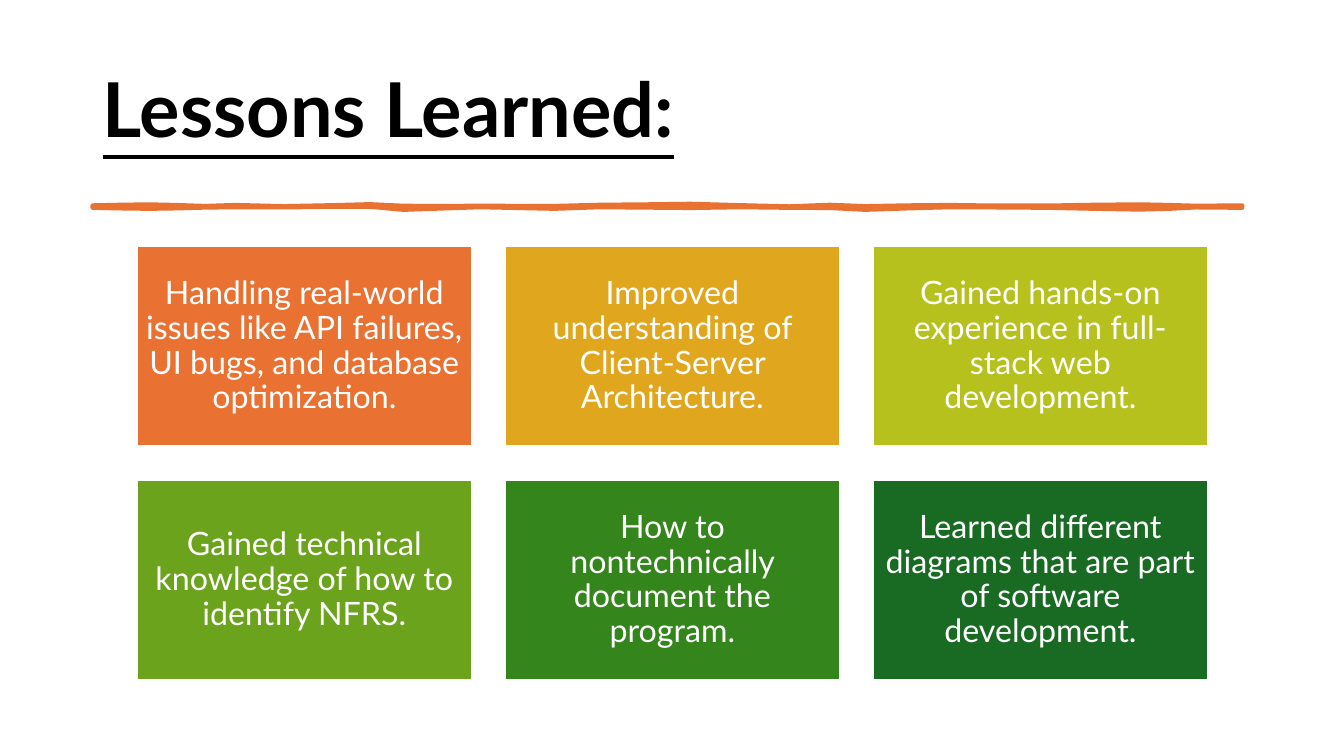
from pptx import Presentation
from pptx.dml.color import RGBColor
from pptx.enum.shapes import MSO_SHAPE
from pptx.enum.text import MSO_ANCHOR, PP_ALIGN
from pptx.util import Pt

PX = 9144  # 100 px to the inch
RECTANGLE = MSO_SHAPE.RECTANGLE
MIDDLE = MSO_ANCHOR.MIDDLE
LEFT, CENTER = PP_ALIGN.LEFT, PP_ALIGN.CENTER

BLACK = RGBColor(0x00, 0x00, 0x00)
WHITE = RGBColor(0xFF, 0xFF, 0xFF)
ORANGE = RGBColor(0xE9, 0x71, 0x32)
AMBER = RGBColor(0xE0, 0xA6, 0x1D)
LIME = RGBColor(0xB7, 0xC1, 0x1E)
LEAF = RGBColor(0x6B, 0xA3, 0x1D)
GREEN = RGBColor(0x34, 0x86, 0x1C)
FOREST = RGBColor(0x19, 0x6B, 0x24)

LESSONS = [
    ("Handling real-world issues like API failures, UI bugs, and database optimization.", ORANGE),
    ("Improved understanding of Client-Server Architecture.", AMBER),
    ("Gained hands-on experience in full-stack web development.", LIME),
    ("Gained technical knowledge of how to identify NFRS.", LEAF),
    ("How to nontechnically document the program.", GREEN),
    ("Learned different diagrams that are part of software development.", FOREST),
]
COLUMNS = 3
GRID_LEFT, GRID_TOP = 136, 244
CARD_WIDTH, CARD_HEIGHT = 332, 199
COLUMN_STEP, ROW_STEP = 365, 232

# x, top and bottom of the brush stroke, in tenths of a px
BRUSH = [
    (920, 2040, 2060), (1190, 2034, 2066), (1480, 2030, 2070), (1740, 2036, 2066),
    (2030, 2046, 2058), (2330, 2036, 2054), (2820, 2048, 2056), (3300, 2038, 2050),
    (3670, 2028, 2050), (4000, 2044, 2080), (4300, 2046, 2070), (4760, 2044, 2054),
    (5500, 2046, 2070), (5950, 2034, 2054), (6400, 2030, 2058), (6850, 2024, 2062),
    (7340, 2038, 2054), (7830, 2050, 2060), (8230, 2034, 2062), (8580, 2048, 2080),
    (9000, 2040, 2066), (9420, 2036, 2054), (9850, 2042, 2056), (10400, 2042, 2060),
    (10850, 2034, 2070), (11300, 2030, 2078), (11600, 2036, 2070),
    (11860, 2044, 2056), (12320, 2040, 2060),
]


class LessonSlide:
    def __init__(self, presentation, font):
        self.slide = presentation.slides.add_slide(presentation.slide_layouts[6])
        self.font = font

    def set_wording(self, shape, wording, size, color, align):
        """Fill a shape with one vertically centred paragraph and return its font."""
        frame = shape.text_frame
        frame.word_wrap = True
        frame.vertical_anchor = MIDDLE
        frame.text = wording
        paragraph = frame.paragraphs[0]
        paragraph.alignment = align
        paragraph.line_spacing = 0.9
        font = paragraph.runs[0].font
        font.name = self.font
        font.size = Pt(size)
        font.color.rgb = color
        return font

    def paint(self, shape, fill, line, width):
        shape.shadow.inherit = False
        shape.fill.solid()
        shape.fill.fore_color.rgb = fill
        shape.line.color.rgb = line
        shape.line.width = Pt(width)

    def title(self, wording, left, top, width, height):
        heading = self.slide.shapes.add_textbox(left * PX, top * PX, width * PX, height * PX)
        font = self.set_wording(heading, wording, 54, BLACK, LEFT)
        font.bold = True
        font.underline = True

    def brush_stroke(self, profile, color):
        """Draw a closed outline along the top edge and back along the bottom."""
        top_edge = [(x, top) for x, top, _ in profile]
        bottom_edge = [(x, bottom) for x, _, bottom in reversed(profile)]
        start, *rest = top_edge + bottom_edge
        outline = self.slide.shapes.build_freeform(*start, scale=PX / 10)
        outline.add_line_segments(rest, close=True)
        self.paint(outline.convert_to_shape(), color, color, 3.25)

    def card(self, wording, color, left, top):
        box = self.slide.shapes.add_shape(
            RECTANGLE, left * PX, top * PX, CARD_WIDTH * PX, CARD_HEIGHT * PX)
        self.paint(box, color, WHITE, 1.5)
        frame = box.text_frame
        frame.margin_left = frame.margin_right = 9 * PX
        frame.margin_top = frame.margin_bottom = 9 * PX
        self.set_wording(box, wording, 23, WHITE, CENTER)


def main():
    presentation = Presentation()
    presentation.slide_width = 1333 * PX
    presentation.slide_height = 750 * PX

    lessons = LessonSlide(presentation, "Lato")
    lessons.title("Lessons Learned:", 92, 40, 1150, 145)
    lessons.brush_stroke(BRUSH, ORANGE)
    for index, (wording, color) in enumerate(LESSONS):
        row, column = divmod(index, COLUMNS)
        lessons.card(wording, color,
                     GRID_LEFT + column * COLUMN_STEP, GRID_TOP + row * ROW_STEP)

    presentation.save("out.pptx")


if __name__ == "__main__":
    main()
